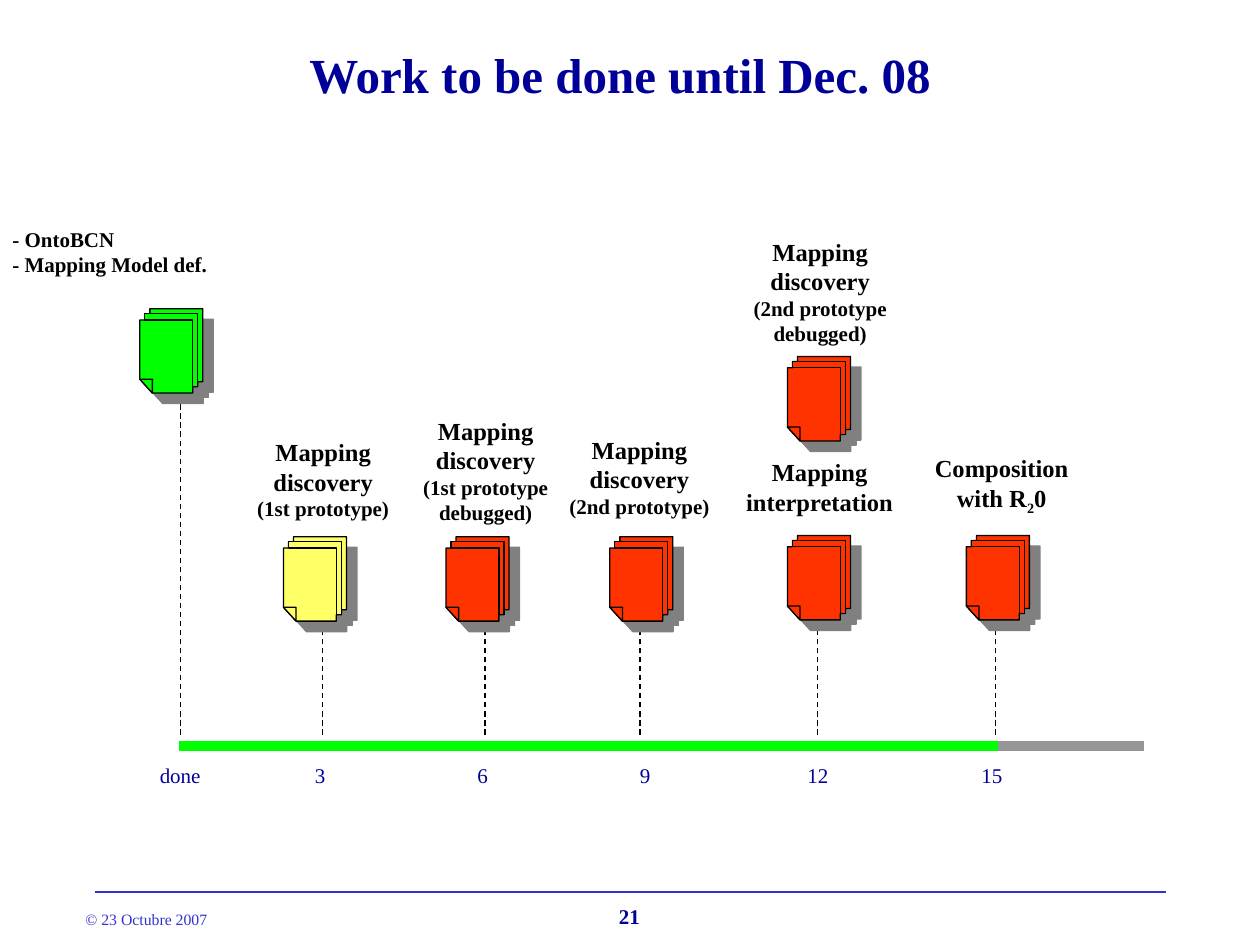
import copy

import lxml.etree
import pptx
import pptx.dml.color
import pptx.enum.dml
import pptx.enum.text
import pptx.oxml.ns
import pptx.util

Inches = pptx.util.Inches
ALIGN = pptx.enum.text.PP_ALIGN
FONT = "Times New Roman"
NAVY, BLUE, BLACK = "000099", "3333CC", "000000"
GREEN, YELLOW, RED, GRAY, SHADOW = "00FF00", "FFFF66", "FF3300", "969696", "808080"

# Outlines of a stack of pages, measured from its top left corner
STACK_OUTLINES = [
    [(0, 0.56), (0, 0.09), (0.04, 0.09), (0.04, 0.04), (0.08, 0.04), (0.08, 0),
     (0.5, 0), (0.5, 0.58), (0.46, 0.58), (0.46, 0.62), (0.42, 0.62),
     (0.42, 0.67), (0.1, 0.67)],
    [(0.08, 0.04), (0.46, 0.04), (0.46, 0.62), (0.42, 0.62), (0.42, 0.09),
     (0.04, 0.09), (0.04, 0.04)],
    [(0, 0.56), (0.1, 0.56), (0.1, 0.67)],
]

# Page stacks: left, top, colour
STACKS = [
    (1.11, 2.45, GREEN), (2.25, 4.26, YELLOW), (3.54, 4.26, RED),
    (4.84, 4.26, RED), (6.25, 4.25, RED), (7.67, 4.25, RED), (6.25, 2.83, RED),
]

# Milestone lines: x position and upper end
MILESTONES = [(1.43, 3.16), (2.56, 4.66), (3.85, 4.66), (5.08, 4.66),
              (6.49, 4.66), (7.9, 4.66)]

# Milestone labels: box, heading lines, detail lines
LABELS = [
    ((1.94, 3.42, 1.25, 0.77), ["Mapping", "discovery"], ["(1st prototype)"]),
    ((3.26, 3.25, 1.19, 0.97), ["Mapping", "discovery"], ["(1st prototype", "debugged)"]),
    ((4.42, 3.4, 1.31, 0.77), ["Mapping", "discovery"], ["(2nd prototype)"]),
    ((5.88, 1.83, 1.26, 0.97), ["Mapping", "discovery"], ["(2nd prototype", "debugged)"]),
    ((5.82, 3.58, 1.37, 0.57), ["Mapping", "interpretation"], []),
]

MONTHS = ["done", "3", "6", "9", "12", "15"]
MONTH_TABS = [1.23, 2.52, 3.81, 5.14, 6.52]


def rgb(value):
    return pptx.dml.color.RGBColor.from_string(value)


def set_font(font, size, color, bold=False):
    formats = {"name": FONT, "size": pptx.util.Pt(size), "bold": bold}
    for name, value in formats.items():
        setattr(font, name, value)
    font.color.rgb = rgb(color)


def add_text(slide, box, lines, color, bold=False, align=ALIGN.LEFT):
    """Add a text box; each line is a text and its size."""
    shape = slide.shapes.add_textbox(*map(Inches, box))
    frame = shape.text_frame
    frame.word_wrap = False
    for index, (text, size) in enumerate(lines):
        paragraph = frame.add_paragraph() if index else frame.paragraphs[0]
        paragraph.alignment = align
        run = paragraph.add_run()
        run.text = text
        set_font(run.font, size, color, bold)
    return frame


def add_line(slide, start, end, color, width, dashed=False):
    line = slide.shapes.add_connector(
        pptx.enum.shapes.MSO_CONNECTOR.STRAIGHT, *map(Inches, start + end))
    line.line.color.rgb = rgb(color)
    line.line.width = pptx.util.Pt(width)
    if dashed:
        line.line.dash_style = pptx.enum.dml.MSO_LINE.DASH
    lxml.etree.SubElement(line._element.spPr, pptx.oxml.ns.qn("a:effectLst"))


def separate_outlines(shape):
    """Give each outline its own path, so that overlaps stay filled."""
    whole = shape._element.xpath(".//a:path")[0]
    current = whole
    for command in list(whole):
        if command.tag == pptx.oxml.ns.qn("a:moveTo") and command is not whole[0]:
            following = copy.deepcopy(whole)
            for child in list(following):
                following.remove(child)
            current.addnext(following)
            current = following
        if current is not whole:
            current.append(command)


def add_shadow(shape):
    shape.shadow.inherit = False
    effects = shape._element.xpath("./p:spPr/a:effectLst")[0]
    shadow = lxml.etree.SubElement(
        effects, pptx.oxml.ns.qn("a:outerShdw"),
        dist=str(pptx.util.Pt(8.5)), dir="2700000", algn="ctr", rotWithShape="0")
    lxml.etree.SubElement(shadow, pptx.oxml.ns.qn("a:srgbClr"), val=SHADOW)


def add_stack(slide, left, top, color):
    builder = None
    for outline in STACK_OUTLINES:
        points = [(Inches(left + x), Inches(top + y)) for x, y in outline]
        if builder is None:
            builder = slide.shapes.build_freeform(*points[0])
        else:
            builder.move_to(*points[0])
        builder.add_line_segments(points[1:], close=True)
    shape = builder.convert_to_shape()
    separate_outlines(shape)
    shape.fill.solid()
    shape.fill.fore_color.rgb = rgb(color)
    shape.line.color.rgb = rgb(BLACK)
    shape.line.width = pptx.util.Pt(0.75)
    add_shadow(shape)


def add_title(slide, text):
    title = slide.shapes.title
    box = {"left": 0.67, "top": 0.17, "width": 8.5, "height": 0.83}
    for name, value in box.items():
        setattr(title, name, Inches(value))
    frame = title.text_frame
    frame.text = text
    frame.vertical_anchor = pptx.enum.text.MSO_ANCHOR.MIDDLE
    frame.auto_size = pptx.enum.text.MSO_AUTO_SIZE.NONE
    frame.paragraphs[0].alignment = ALIGN.CENTER
    set_font(frame.paragraphs[0].runs[0].font, 28, NAVY, True)


def add_months(slide):
    frame = add_text(slide, (1.17, 6, 6.9, 0.3), [("\t".join(MONTHS), 12)], NAVY)
    properties = frame.paragraphs[0]._p.get_or_add_pPr()
    tabs = lxml.etree.SubElement(properties, pptx.oxml.ns.qn("a:tabLst"))
    for position in MONTH_TABS:
        lxml.etree.SubElement(tabs, pptx.oxml.ns.qn("a:tab"),
                              pos=str(Inches(position)), algn="l")


def add_composition_label(slide):
    frame = add_text(slide, (7.32, 3.55, 1.26, 0.6),
                     [("Composition", 14), ("with R", 14)], BLACK, True, ALIGN.CENTER)
    for text, baseline in (("2", "-25000"), ("0", "0")):
        run = frame.paragraphs[1].add_run()
        run.text = text
        set_font(run.font, 14, BLACK, True)
        run._r.get_or_add_rPr().set("baseline", baseline)


def main():
    presentation = pptx.Presentation()
    presentation.slide_width = Inches(10)
    presentation.slide_height = Inches(7.5)
    slide = presentation.slides.add_slide(presentation.slide_layouts[5])

    # Title and footer
    add_title(slide, "Work to be done until Dec. 08")
    add_line(slide, (0.75, 7.08), (9.25, 7.08), BLUE, 1)
    add_text(slide, (0.58, 7.17, 1.17, 0.25), [("© 23 Octubre 2007", 9)], BLUE)
    add_text(slide, (4.52, 7.12, 0.95, 0.3), [("21", 12)], NAVY, True, ALIGN.CENTER)

    # Time axis
    add_line(slide, (7.92, 5.92), (9.08, 5.92), GRAY, 6)
    add_line(slide, (1.42, 5.92), (7.92, 5.92), GREEN, 6)
    add_months(slide)

    # Milestones with their page stacks
    for x, top in MILESTONES:
        add_line(slide, (x, 5.83), (x, top), BLACK, 0.75, dashed=True)
    for stack in STACKS:
        add_stack(slide, *stack)

    # Labels
    add_text(slide, (0, 1.75, 2.74, 0.5),
             [("- OntoBCN", 12), ("- Mapping Model def.", 12)], BLACK, True)
    for box, heading, details in LABELS:
        lines = [(text, 14) for text in heading] + [(text, 12) for text in details]
        add_text(slide, box, lines, BLACK, True, ALIGN.CENTER)
    add_composition_label(slide)

    presentation.save("out.pptx")


if __name__ == "__main__":
    main()
